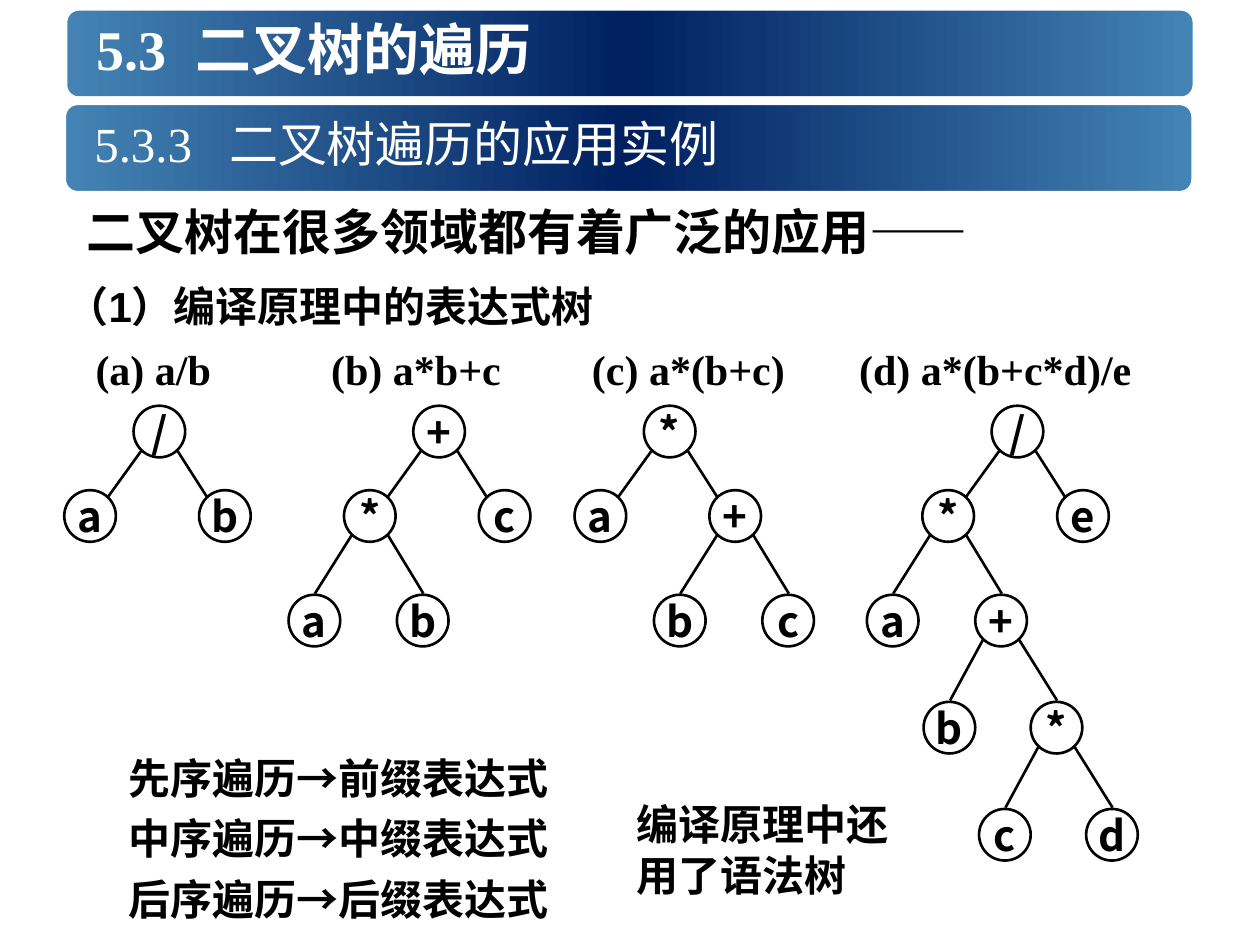
import copy

import pptx
import pptx.dml.color
import pptx.enum.shapes
import pptx.enum.text
import pptx.oxml
import pptx.oxml.ns
import pptx.util

PX = 9144  # 100 px to the inch
WHITE = pptx.dml.color.RGBColor(0xFF, 0xFF, 0xFF)
BLACK = pptx.dml.color.RGBColor(0, 0, 0)
STEEL = pptx.dml.color.RGBColor(0x44, 0x84, 0xB4)
NAVY = pptx.dml.color.RGBColor(0x00, 0x20, 0x60)
CJK, SANS, SERIF = "Noto Sans CJK SC", "Arial", "Times New Roman"
MIDDLE = pptx.enum.text.MSO_ANCHOR.MIDDLE

presentation = pptx.Presentation()
presentation.slide_width = 1000 * PX
presentation.slide_height = 750 * PX
slide = presentation.slides.add_slide(presentation.slide_layouts[6])


def write_text(shape, lines, size=24, color=BLACK, bold=True, wrap=True):
    """Fill a shape with lines, each a list of (text, Latin font)."""
    frame = shape.text_frame
    frame.word_wrap = wrap
    for index, parts in enumerate(lines):
        paragraph = frame.paragraphs[0] if index == 0 else frame.add_paragraph()
        for text, latin in parts:
            run = paragraph.add_run()
            run.text = text
            run.font.size = pptx.util.Pt(size)
            run.font.bold = bold
            run.font.color.rgb = color
            run.font.name = latin
            run.font._element.append(pptx.oxml.parse_xml(
                f'<a:ea {pptx.oxml.ns.nsdecls("a")} typeface="{CJK}"/>'))
    return frame


def draw_tree(tree, left, level=0):
    """Draw a node, then the edges to its children and their subtrees."""
    label, *children = tree
    top = NODE_TOPS[level]
    node = slide.shapes.add_shape(
        pptx.enum.shapes.MSO_SHAPE.OVAL, left * PX, top * PX, NODE * PX, NODE * PX)
    node.shadow.inherit = False
    node.fill.background()
    node.line.color.rgb = BLACK
    node.line.width = pptx.util.Pt(1.5)
    frame = write_text(node, [[(label, CJK)]], wrap=False)
    frame.vertical_anchor = MIDDLE
    frame.paragraphs[0].alignment = pptx.enum.text.PP_ALIGN.CENTER

    for side, child in enumerate(children):
        child_left = left + CHILD_OFFSETS[level][side]
        start_x = left + (6, 35)[side]
        if level == 0:
            end_x, end_y = child_left + (35, 6)[side], NODE_TOPS[1] + 5
        else:
            end_x, end_y = child_left + 21, NODE_TOPS[level + 1] - 1
        edge = slide.shapes.add_connector(
            pptx.enum.shapes.MSO_CONNECTOR.STRAIGHT,
            start_x * PX, (top + 36) * PX, end_x * PX, end_y * PX)
        edge.line.color.rgb = BLACK
        edge.line.width = pptx.util.Pt(1.5)
        edge._element.spPr.append(
            pptx.oxml.parse_xml(f'<a:effectLst {pptx.oxml.ns.nsdecls("a")}/>'))
        draw_tree(child, child_left, level + 1)


# Heading bars; a tab stop separates number and title
headings = [
    (50, 5, 67, "5.3\t二叉树的遍历", 32, True, 78),
    (49, 80, 65, "5.3.3\t二叉树遍历的应用实例", 28, False, 107),
]
for bar_left, top, text_left, title, size, bold, tab in headings:
    bar = slide.shapes.add_shape(
        pptx.enum.shapes.MSO_SHAPE.ROUNDED_RECTANGLE,
        bar_left * PX, top * PX, 900 * PX, 75 * PX)
    bar.shadow.inherit = False
    bar.line.color.rgb = WHITE
    bar.line.width = pptx.util.Pt(5)
    bar.fill.gradient()
    bar.fill.gradient_angle = 0
    first_stop = bar.fill._fill._gradFill.gsLst[0]
    first_stop.addnext(copy.deepcopy(first_stop))
    for stop, position, color in zip(
            bar.fill.gradient_stops, (0, 0.5, 1), (STEEL, NAVY, STEEL)):
        stop.position = position
        stop.color.rgb = color

    box = slide.shapes.add_textbox(text_left * PX, top * PX, 875 * PX, 67 * PX)
    frame = write_text(box, [[(title, SERIF)]], size, WHITE, bold)
    frame.vertical_anchor = MIDDLE
    properties = frame.paragraphs[0]._p.get_or_add_pPr()
    properties.append(pptx.oxml.parse_xml(
        f'<a:tabLst {pptx.oxml.ns.nsdecls("a")}><a:tab pos="{tab * PX}" algn="l"/></a:tabLst>'))

# Introduction
box = slide.shapes.add_textbox(59 * PX, 155 * PX, 819 * PX, 57 * PX)
write_text(box, [[("二叉树在很多领域都有着广泛的应用", CJK), ("——", SANS)]], 28)
box = slide.shapes.add_textbox(43 * PX, 218 * PX, 500 * PX, 50 * PX)
write_text(box, [[("（1）编译原理中的表达式树", SANS)]])

# Expression trees: caption, caption left, caption width, root left, nodes
NODE = 41
NODE_TOPS = (322, 389, 472, 557, 642)
CHILD_OFFSETS = ((-55, 52), (-44, 42), (-41, 44), (-41, 44))
trees = [
    ("(a) a/b", 66, 128, 106, ("/", ("a",), ("b",))),
    ("(b) a*b+c", 253, 167, 328, ("+", ("*", ("a",), ("b",)), ("c",))),
    ("(c) a*(b+c)", 460, 177, 511, ("*", ("a",), ("+", ("b",), ("c",)))),
    ("(d) a*(b+c*d)/e", 672, 266, 787,
     ("/", ("*", ("a",), ("+", ("b",), ("*", ("c",), ("d",)))), ("e",))),
]
for caption, left, width, root_left, tree in trees:
    box = slide.shapes.add_textbox(left * PX, 268 * PX, width * PX, 50 * PX)
    write_text(box, [[(caption, SERIF)]])
    draw_tree(tree, root_left)

# Traversal orders and the notations they give
box = slide.shapes.add_textbox(92 * PX, 584 * PX, 370 * PX, 154 * PX)
orders = [("先序遍历", "前缀表达式"), ("中序遍历", "中缀表达式"), ("后序遍历", "后缀表达式")]
frame = write_text(
    box, [[(order, CJK), ("→", SANS), (notation, CJK)] for order, notation in orders])
for paragraph in frame.paragraphs:
    paragraph.line_spacing = 1.2

# Remark on syntax trees
box = slide.shapes.add_textbox(495 * PX, 629 * PX, 230 * PX, 90 * PX)
write_text(box, [[(line, CJK)] for line in ("编译原理中还", "用了语法树")])

presentation.save("out.pptx")
